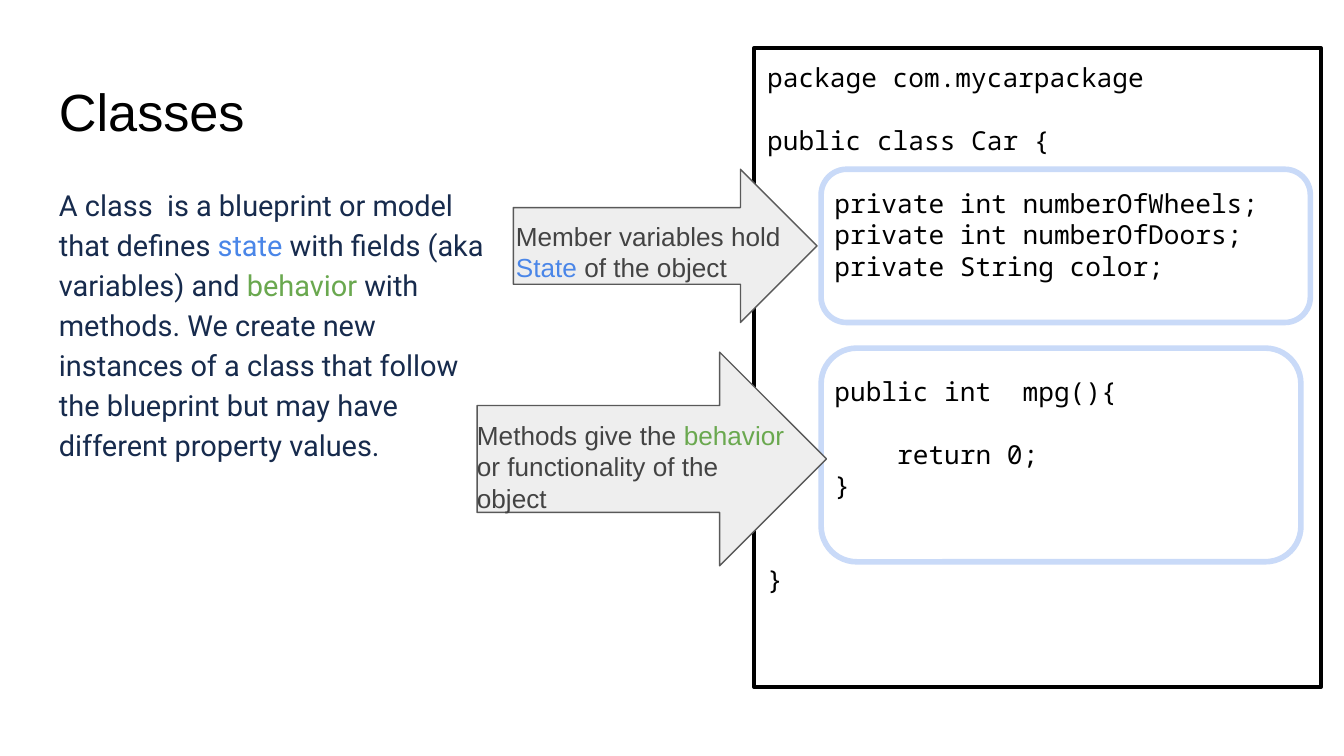
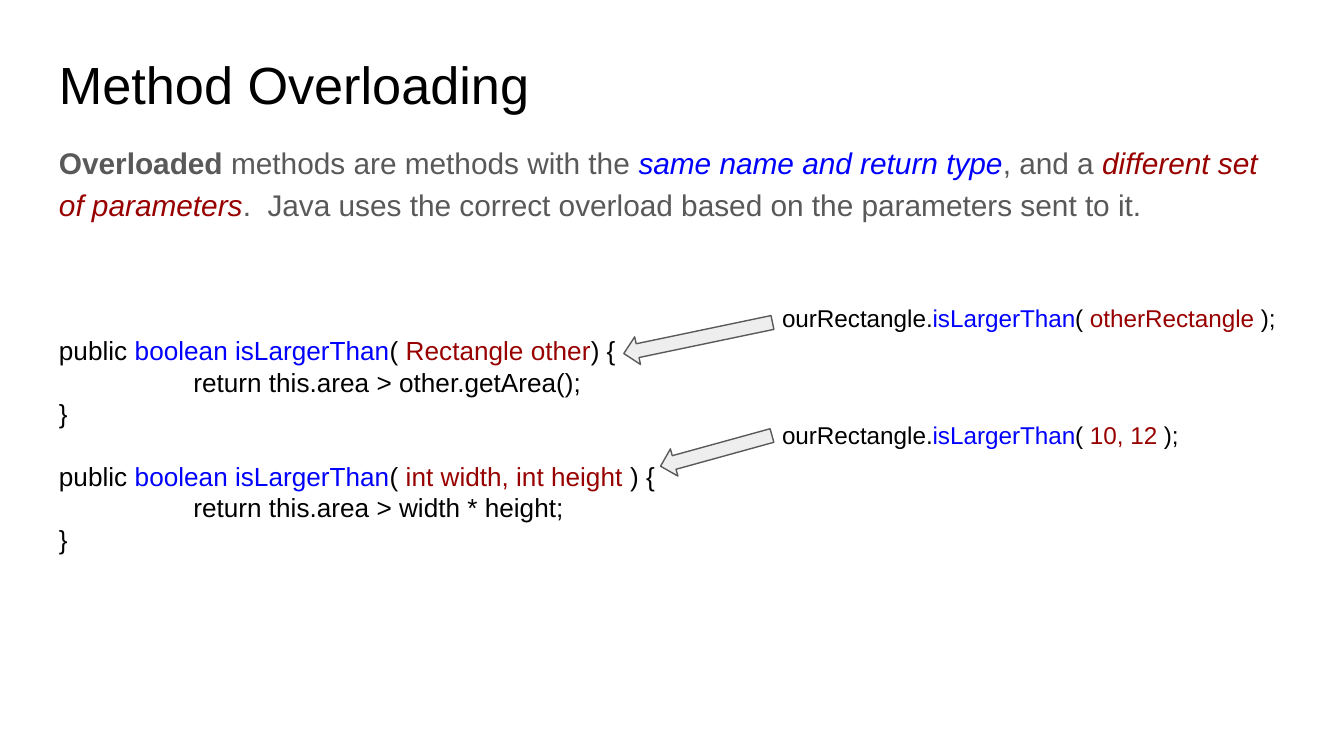
import dataclasses

import pptx
import pptx.dml.color
import pptx.enum.shapes
import pptx.enum.text
import pptx.util

SHAPES = pptx.enum.shapes.MSO_SHAPE
WIDTH, HEIGHT = pptx.util.Inches(10), pptx.util.Inches(5.625)
COLUMN, ROW = WIDTH / 100, HEIGHT / 56.25  # grid of square cells


@dataclasses.dataclass(frozen=True)
class Theme:
    sans: str = "Arial"
    mono: str = "Noto Sans Mono"
    body: str = "Roboto"
    black: str = "000000"
    navy: str = "172B4D"
    text_gray: str = "595959"
    label_gray: str = "434343"
    state: str = "4A86E8"
    behavior: str = "6AA84F"
    signature: str = "0000FF"
    parameters: str = "980000"
    frame: str = "C9DAF8"
    arrow_fill: str = "EEEEEE"
    arrow_line: str = "595959"
    title_size: float = 28
    lead_size: float = 16
    definition_size: float = 15.5
    code_size: float = 14
    call_size: float = 13
    line_height: float = 1.2  # height of one line, as a share of type size
    lead_spacing: float = 1.15


THEME = Theme()


@dataclasses.dataclass(frozen=True)
class Box:
    """Area in grid columns and rows."""
    left: float
    top: float
    columns: float
    rows: float

    def area(self, left, top, columns, rows):
        return Box(self.left + left, self.top + top, columns, rows)

    def place(self):
        return (round(self.left * COLUMN), round(self.top * ROW),
                round(self.columns * COLUMN), round(self.rows * ROW))


@dataclasses.dataclass(frozen=True)
class Span:
    text: str
    color: str = ""
    bold: bool = False
    italic: bool = False


@dataclasses.dataclass(frozen=True)
class Line:
    spans: tuple
    indent: float = 0  # columns
    gap: int = 0  # lines left free above


def line(*spans, indent=0, gap=0):
    spans = tuple(Span(s) if isinstance(s, str) else s for s in spans)
    return Line(spans, indent, gap)


def rgb(color):
    return pptx.dml.color.RGBColor.from_string(color)


# Shared builders
def write_text(shape, lines, *, size, font=THEME.sans, color=THEME.black, spacing=None):
    frame = shape.text_frame
    frame.word_wrap = True
    frame.vertical_anchor = pptx.enum.text.MSO_ANCHOR.TOP
    frame.margin_left = frame.margin_right = round(COLUMN)
    frame.margin_top = frame.margin_bottom = round(ROW)
    for index, content in enumerate(lines):
        paragraph = frame.add_paragraph() if index else frame.paragraphs[0]
        paragraph.alignment = pptx.enum.text.PP_ALIGN.LEFT
        if spacing:
            paragraph.line_spacing = spacing
        if content.gap:
            paragraph.space_before = pptx.util.Pt(content.gap * size * THEME.line_height)
        if content.indent:
            properties = paragraph._p.get_or_add_pPr()
            properties.set("marL", str(round(content.indent * COLUMN)))
            properties.set("indent", "0")
        for span in content.spans:
            run = paragraph.add_run()
            run.text = span.text
            run.font.name, run.font.size = font, pptx.util.Pt(size)
            run.font.bold, run.font.italic = span.bold, span.italic
            run.font.color.rgb = rgb(span.color or color)


def add_text(slide, box, lines, **text_format):
    write_text(slide.shapes.add_textbox(*box.place()), lines, **text_format)


def add_outline(slide, kind, box, *, color, weight, fill=None):
    shape = slide.shapes.add_shape(kind, *box.place())
    shape.shadow.inherit = False
    if fill:
        shape.fill.solid()
        shape.fill.fore_color.rgb = rgb(fill)
    else:
        shape.fill.background()
    shape.line.color.rgb = rgb(color)
    shape.line.width = pptx.util.Pt(weight)
    return shape


def add_arrow(slide, kind, box, rotation=0):
    shape = add_outline(slide, kind, box, color=THEME.arrow_line, weight=0.75,
                        fill=THEME.arrow_fill)
    shape.rotation = rotation


def add_title(slide, box, text):
    add_text(slide, box, [line(text)], size=THEME.title_size)


# Regions of the class slide
def add_code_panel(slide, box):
    panel = add_outline(slide, SHAPES.RECTANGLE, box, color=THEME.black, weight=2.25)
    write_text(panel, [
        line("package com.mycarpackage"),
        line("public class Car {", gap=1),
        line("private int numberOfWheels;", indent=5, gap=1),
        line("private int numberOfDoors;", indent=5),
        line("private String color;", indent=5),
        line("public int  mpg(){", indent=5, gap=3),
        line("return 0;", indent=9.67, gap=1),
        line("}", indent=5),
        line("}", gap=2),
    ], size=THEME.code_size, font=THEME.mono)
    # Frames around the fields and the method
    for frame in (box.area(5, 9, 36.4, 11.4), box.area(5, 22.3, 35.7, 15.9)):
        add_outline(slide, SHAPES.ROUNDED_RECTANGLE, frame, color=THEME.frame, weight=3)


def add_labelled_arrow(slide, box, label_box, label):
    add_arrow(slide, SHAPES.RIGHT_ARROW, box)
    add_text(slide, label_box, [label], size=THEME.code_size, color=THEME.label_gray)


def build_classes(slide, box):
    add_code_panel(slide, box.area(56.1, 3.6, 42.2, 47.5))
    add_title(slide, box.area(3.4, 4.9, 46.6, 6.3), "Classes")
    definition = line(
        "A class  is a blueprint or model that defines ",
        Span("state ", THEME.state),
        "with fields (aka variables) and ",
        Span("behavior", THEME.behavior),
        " with methods. We create new instances of a class that follow "
        "the blueprint but may have different property values.")
    add_text(slide, box.area(3.4, 12.6, 34.2, 37.4), [definition],
             size=THEME.definition_size, font=THEME.body, color=THEME.navy,
             spacing=THEME.lead_spacing)
    # Arrows pointing at the two frames
    fields = box.area(38.2, 12.6, 22.6, 11.4)
    add_labelled_arrow(slide, fields, fields.area(-0.8, 2.8, 22.6, 7.5), line(
        "Member variables hold ", Span("State ", THEME.state), "of the object"))
    methods = box.area(35.5, 26.2, 26, 15.9)
    add_labelled_arrow(slide, methods, methods.area(-1, 4, 25.1, 7.5), line(
        "Methods give the ", Span("behavior ", THEME.behavior),
        "or functionality of the object"))


# Regions of the overloading slide
def overload(parameters, closing, result, gap=0):
    return [
        line("public ", Span("boolean isLargerThan", THEME.signature), "( ",
             Span(parameters, THEME.parameters), closing, gap=gap),
        line(f"return this.area > {result};", indent=10),
        line("}"),
    ]


def call(arguments, closing, gap=0):
    return line("ourRectangle.", Span("isLargerThan", THEME.signature), "( ",
                Span(arguments, THEME.parameters), closing, gap=gap)


def add_overloads(slide, box):
    methods = (overload("Rectangle other", ") {", "other.getArea()")
               + overload("int width, int height ", ") {", "width * height", gap=1))
    add_text(slide, box.area(0, 2.3, 48.9, 19.8), methods, size=THEME.code_size)
    calls = [call("otherRectangle ", ");"), call("10, 12", " );", gap=3)]
    add_text(slide, box.area(53.8, 0, 40.8, 16.2), calls, size=THEME.call_size)
    # Arrows from each call to its method
    add_arrow(slide, SHAPES.LEFT_ARROW, box.area(42.9, 2.5, 11.3, 2.1), 348.2)
    add_arrow(slide, SHAPES.LEFT_ARROW, box.area(45.6, 10.9, 8.6, 2.1), 344.6)


def build_overloading(slide, box):
    add_title(slide, box.area(3.4, 2.9, 93.2, 6.3), "Method Overloading")
    lead = line(
        Span("Overloaded ", bold=True),
        "methods are methods with the ",
        Span("same name and return type", THEME.signature, italic=True),
        ", and a ",
        Span("different set of parameters", THEME.parameters, italic=True),
        ".  Java uses the correct overload based on the parameters sent to it.")
    add_text(slide, box.area(3.4, 9.4, 93.2, 9.4), [lead], size=THEME.lead_size,
             color=THEME.text_gray, spacing=THEME.lead_spacing)
    add_overloads(slide, box.area(3.4, 21.6, 94.6, 22.1))


def main():
    presentation = pptx.Presentation()
    presentation.slide_width, presentation.slide_height = WIDTH, HEIGHT
    blank = presentation.slide_layouts[6]
    page = Box(0, 0, 100, 56.25)
    for build in (build_classes, build_overloading):
        build(presentation.slides.add_slide(blank), page)
    presentation.save("out.pptx")


if __name__ == "__main__":
    main()
